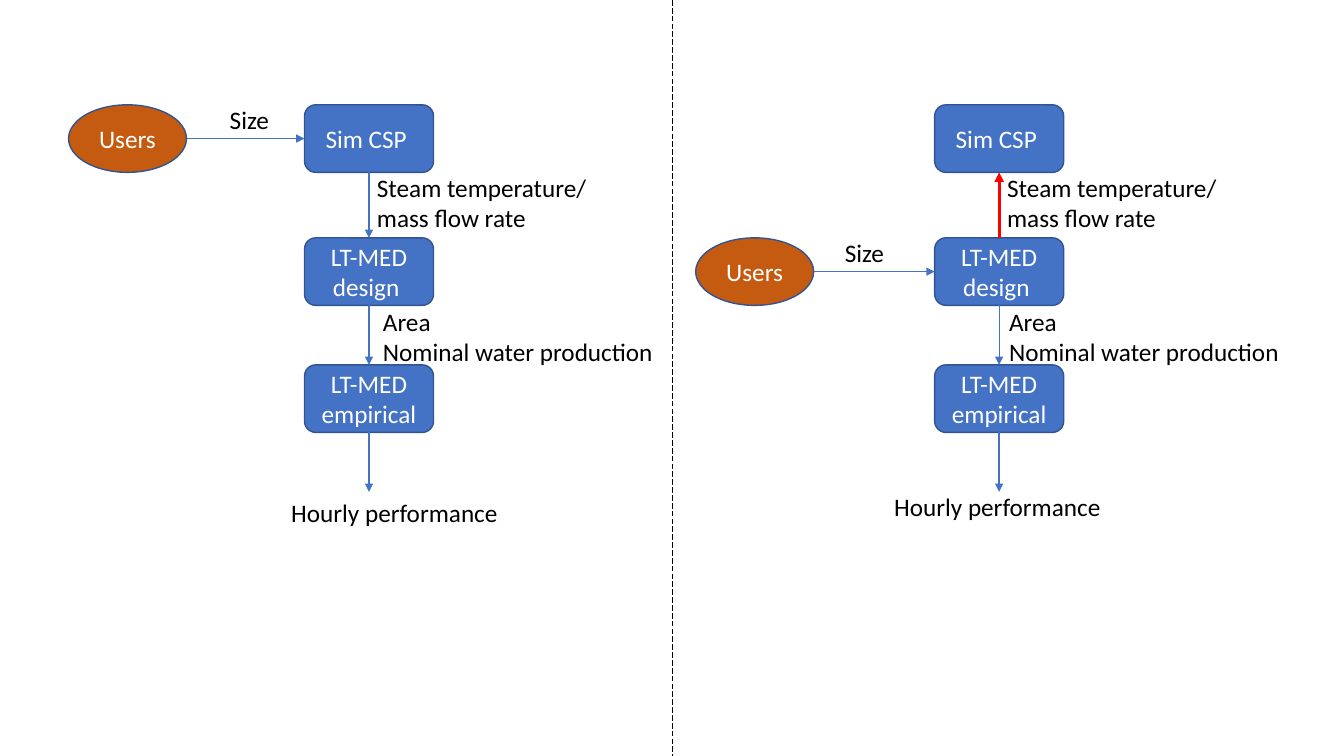
from lxml import etree
from pptx import Presentation
from pptx.dml.color import RGBColor
from pptx.enum.dml import MSO_LINE
from pptx.enum.shapes import MSO_CONNECTOR, MSO_SHAPE
from pptx.enum.text import MSO_ANCHOR, MSO_AUTO_SIZE, PP_ALIGN
from pptx.oxml.ns import qn
from pptx.util import Inches, Pt

STRAIGHT = MSO_CONNECTOR.STRAIGHT
ROUNDED, ELLIPSE = MSO_SHAPE.ROUNDED_RECTANGLE, MSO_SHAPE.OVAL
MIDDLE, CENTER, LEFT = MSO_ANCHOR.MIDDLE, PP_ALIGN.CENTER, PP_ALIGN.LEFT
GROW, LONG_DASH = MSO_AUTO_SIZE.SHAPE_TO_FIT_TEXT, MSO_LINE.LONG_DASH

COLORS = {"step": "4472C4", "user": "C55A11", "outline": "325491",
          "feedback": "FF0000", "light": "FFFFFF", "dark": "000000"}
SLIDE_WIDTH, SLIDE_HEIGHT = 13.33, 7.5

# Grid of the flow: one column of steps, measured in inches
STEP_WIDTH, STEP_HEIGHT, USER_WIDTH = 1.28, 0.67, 1.17
STEP_TOPS = (1.04, 2.36, 3.62)
STEP_NAMES = ("Sim CSP ", "LT-MED design ", "LT-MED empirical")
RESULT_TOP = 4.88


def color(name):
    return RGBColor.from_string(COLORS[name])


def write_text(shape, text, color_name, alignment):
    frame = shape.text_frame
    frame.word_wrap = True
    frame.text = text
    for paragraph in frame.paragraphs:
        paragraph.alignment = alignment
        for run in paragraph.runs:
            run.font.size = Pt(18)
            run.font.name = "Calibri"
            run.font.color.rgb = color(color_name)


def add_node(slide, kind, left, top, width, text, fill):
    shape = slide.shapes.add_shape(kind, Inches(left), Inches(top),
                                   Inches(width), Inches(STEP_HEIGHT))
    shape.shadow.inherit = False
    shape.fill.solid()
    shape.fill.fore_color.rgb = color(fill)
    shape.line.color.rgb = color("outline")
    shape.line.width = Pt(1)
    shape.text_frame.vertical_anchor = MIDDLE
    write_text(shape, text, "light", CENTER)


def add_label(slide, left, top, width, text):
    height = 0.4 if "\n" not in text else 0.71
    box = slide.shapes.add_textbox(Inches(left), Inches(top),
                                   Inches(width), Inches(height))
    write_text(box, text, "dark", LEFT)
    box.text_frame.auto_size = GROW


def add_line(slide, start, end, color_name, width, arrow=True):
    points = [Inches(value) for value in (*start, *end)]
    line = slide.shapes.add_connector(STRAIGHT, *points)
    line.line.color.rgb = color(color_name)
    line.line.width = Pt(width)
    if arrow:
        outline = line._element.spPr.find(qn("a:ln"))
        etree.SubElement(outline, qn("a:tailEnd"), type="triangle")
    etree.SubElement(line._element.spPr, qn("a:effectLst"))
    return line


def draw_flow(slide, left, user, size_left, area_left, result, arrows):
    """Draw one flow; left is the step column, user is (left, step index)."""
    center = left + STEP_WIDTH / 2

    # Steps
    for name, top in zip(STEP_NAMES, STEP_TOPS):
        add_node(slide, ROUNDED, left, top, STEP_WIDTH, name, "step")

    # Users and the size they enter
    user_left, user_step = user
    user_top = STEP_TOPS[user_step]
    user_middle = user_top + STEP_HEIGHT / 2
    add_node(slide, ELLIPSE, user_left, user_top, USER_WIDTH, "Users", "user")
    add_line(slide, (user_left + USER_WIDTH, user_middle), (left, user_middle),
             "step", 0.5)
    add_label(slide, size_left, user_top - 0.05, 0.99, "Size")

    # Arrows between the steps and down to the result
    ends = (*STEP_TOPS[1:], RESULT_TOP)
    for top, bottom, (color_name, width, upward) in zip(STEP_TOPS, ends, arrows):
        start, end = (center, top + STEP_HEIGHT), (center, bottom)
        if upward:
            start, end = end, start
        add_line(slide, start, end, color_name, width)

    # Labels of the exchanged values
    add_label(slide, left + 0.62, 1.66, 2.81, "Steam temperature/\nmass flow rate")
    add_label(slide, area_left, 2.99, 3.01, "Area\nNominal water production")
    add_label(slide, *result, 3.01, "Hourly performance")


def draw_divider(slide):
    middle = SLIDE_WIDTH / 2
    line = add_line(slide, (middle, 0), (middle, SLIDE_HEIGHT), "dark", 0.5, arrow=False)
    line.line.dash_style = LONG_DASH


def main():
    presentation = Presentation()
    presentation.slide_width = Inches(SLIDE_WIDTH)
    presentation.slide_height = Inches(SLIDE_HEIGHT)
    slide = presentation.slides.add_slide(presentation.slide_layouts[6])

    down = ("step", 1.5, False)
    draw_flow(slide, left=3.02, user=(0.68, 0), size_left=2.18, area_left=3.7,
              result=(2.79, 4.88), arrows=(down, down, down))
    draw_divider(slide)
    draw_flow(slide, left=9.27, user=(6.9, 1), size_left=8.28, area_left=9.91,
              result=(8.77, 4.83),
              arrows=(("feedback", 2.25, True), ("step", 0.5, False), down))
    presentation.save("out.pptx")


if __name__ == "__main__":
    main()
